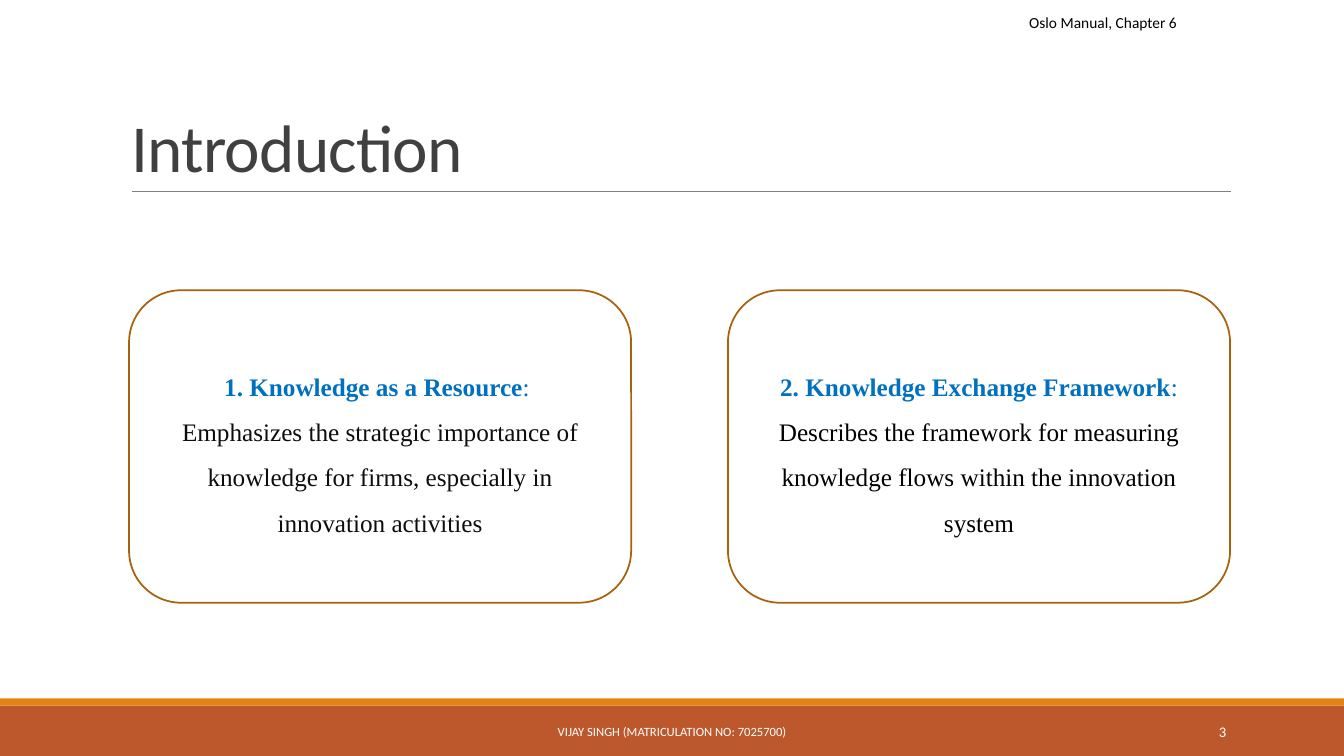
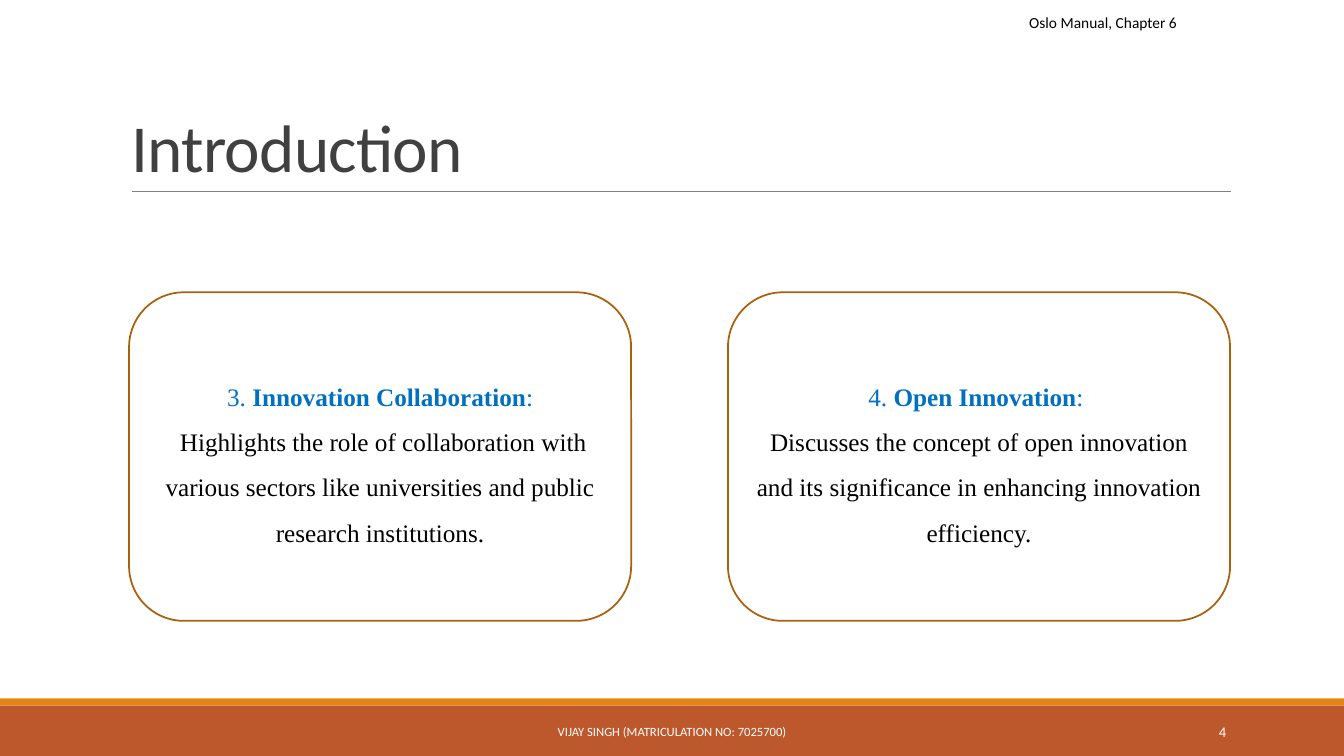
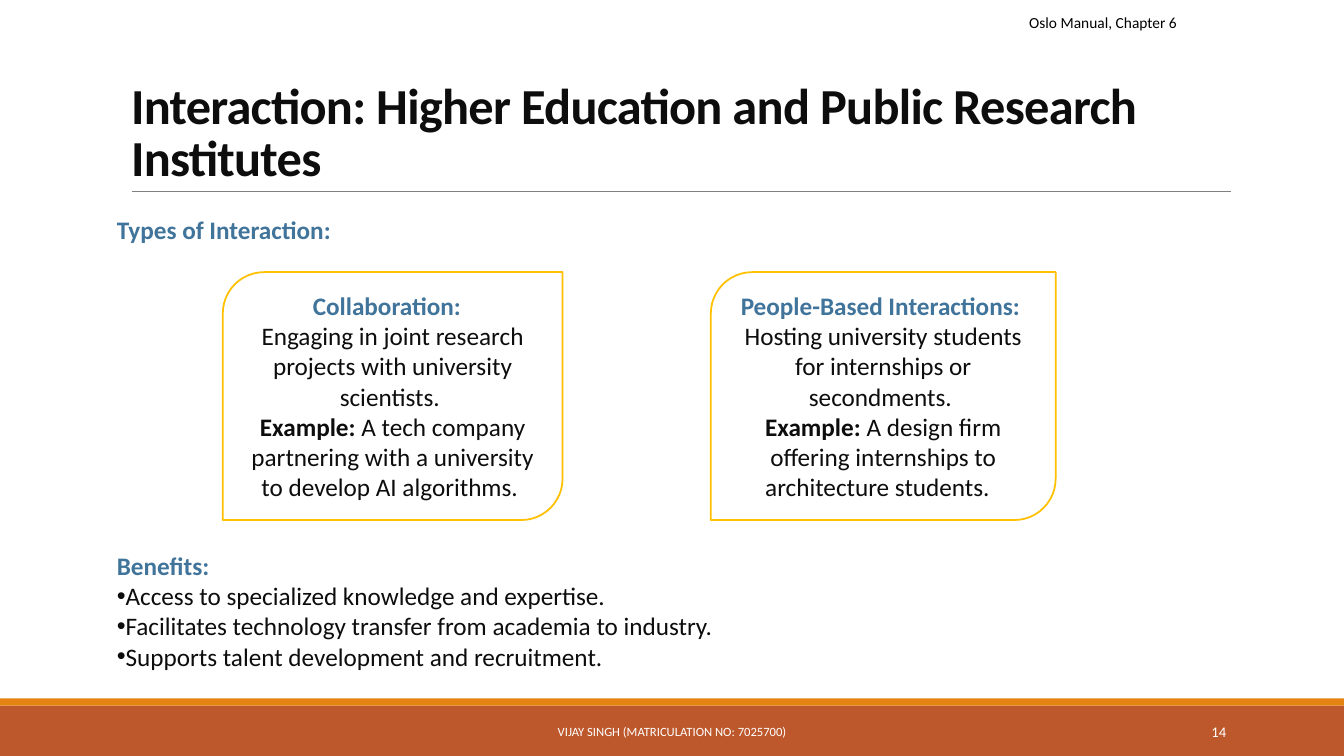
from lxml.etree import SubElement
from pptx import Presentation
from pptx.dml.color import RGBColor
from pptx.enum.shapes import MSO_CONNECTOR, MSO_SHAPE
from pptx.enum.text import MSO_ANCHOR, MSO_AUTO_SIZE, PP_ALIGN
from pptx.oxml.ns import qn
from pptx.util import Inches, Pt

COLORS = {
    "white": "FFFFFF", "black": "000000", "ink": "0D0D0D", "title": "404040",
    "rule": "808080", "rust": "BD582C", "orange": "E48312", "brown": "A9610D",
    "gold": "FFC000", "blue": "0070C0", "steel": "40749B",
}
SANS = "Calibri"
SERIF = "Times New Roman"
CARD_LEFTS = (1.28, 7.22)


def rgb(name):
    return RGBColor.from_string(COLORS[name])


def inches(*lengths):
    return [Inches(length) for length in lengths]


def add_run(paragraph, text, color, bold=False, size=18, font=SANS):
    run = paragraph.add_run()
    run.text = text
    run.font.name = font
    run.font.size = Pt(size)
    run.font.bold = bold
    run.font.color.rgb = rgb(color)
    return run


def add_bullet(paragraph):
    properties = paragraph._p.get_or_add_pPr()
    properties.set("marL", "0")
    properties.set("indent", "0")
    SubElement(properties, qn("a:buFont")).set("typeface", "Arial")
    SubElement(properties, qn("a:buChar")).set("char", "•")


def write_paragraphs(frame, paragraphs, align=PP_ALIGN.LEFT, spacing=1.0, size=18, font=SANS):
    frame.word_wrap = True
    for index, runs in enumerate(paragraphs):
        paragraph = frame.add_paragraph() if index else frame.paragraphs[0]
        paragraph.alignment = align
        paragraph.line_spacing = spacing
        for text, color, bold in runs:
            add_run(paragraph, text, color, bold, size, font)


def add_text(slide, box, paragraphs, anchor=MSO_ANCHOR.TOP, **style):
    frame = slide.shapes.add_textbox(*inches(*box)).text_frame
    frame.vertical_anchor = anchor
    write_paragraphs(frame, paragraphs, **style)
    return frame


def add_box(slide, kind, box, fill=None, line=None):
    shape = slide.shapes.add_shape(kind, *inches(*box))
    shape.shadow.inherit = False
    if fill:
        shape.fill.solid()
        shape.fill.fore_color.rgb = rgb(fill)
    else:
        shape.fill.background()
    if line:
        shape.line.color.rgb = rgb(line)
        shape.line.width = Pt(1.25)
    else:
        shape.line.fill.background()
    return shape


def add_card(slide, kind, box, line, paragraphs, fill=None, **style):
    frame = add_box(slide, kind, box, fill, line).text_frame
    frame.vertical_anchor = MSO_ANCHOR.MIDDLE
    write_paragraphs(frame, paragraphs, align=PP_ALIGN.CENTER, **style)


def add_rule(slide):
    rule = slide.shapes.add_connector(MSO_CONNECTOR.STRAIGHT, *inches(1.31, 1.9, 12.21, 1.9))
    rule.line.color.rgb = rgb("rule")
    rule.line.width = Pt(0.5)
    SubElement(rule._element.spPr, qn("a:effectLst"))


def set_title(slide, text, width, color, size, bold):
    title = slide.shapes.title
    title.left, title.top, title.width, title.height = inches(1.2, 0.31, width, 1.59)
    frame = title.text_frame
    frame.auto_size = MSO_AUTO_SIZE.NONE
    frame.vertical_anchor = MSO_ANCHOR.BOTTOM
    write_paragraphs(frame, [[(text, color, bold)]], spacing=0.85, size=size)
    frame.paragraphs[0].runs[0].font._element.set("spc", "-50")


def add_slide(presentation, number, title, width=11, color="title", size=48, bold=False):
    slide = presentation.slides.add_slide(presentation.slide_layouts[5])
    add_box(slide, MSO_SHAPE.RECTANGLE, (0, 7, 13.33, 0.5), "rust")
    add_box(slide, MSO_SHAPE.RECTANGLE, (0, 6.93, 13.33, 0.07), "orange")
    add_rule(slide)
    set_title(slide, title, width, color, size, bold)
    add_text(slide, (10.11, 0.08, 2.3, 0.29), [[("Oslo Manual, Chapter 6", "black", False)]], size=11)
    add_text(slide, (4.03, 7.06, 5.27, 0.4),
             [[("VIJAY SINGH (MATRICULATION NO: 7025700)", "white", False)]],
             MSO_ANCHOR.MIDDLE, align=PP_ALIGN.CENTER, size=9)
    add_text(slide, (10.83, 7.06, 1.43, 0.4), [[(str(number), "white", False)]],
             MSO_ANCHOR.MIDDLE, align=PP_ALIGN.RIGHT, size=10.5)
    return slide


def add_introduction(presentation, number, top, height, cards):
    slide = add_slide(presentation, number, "Introduction")
    for left, paragraphs in zip(CARD_LEFTS, cards):
        add_card(slide, MSO_SHAPE.ROUNDED_RECTANGLE, (left, top, 4.98, height), "brown",
                 paragraphs, spacing=1.5, font=SERIF)


def add_interaction(presentation):
    slide = add_slide(presentation, 14, "Interaction: Higher Education and Public Research Institutes",
                      width=11.39, color="ink", size=36, bold=True)
    add_text(slide, (1.06, 2.08, 7.18, 0.4), [[("Types of Interaction: ", "steel", True)]])
    cards = [
        (2.21, 3.37, "Collaboration:  ",
         "Engaging in joint research projects with university scientists. ",
         " A tech company partnering with a university to develop AI algorithms. "),
        (7.05, 3.42, "People-Based Interactions: ",
         "Hosting university students for internships or secondments. ",
         " A design firm offering internships to architecture students.  "),
    ]
    for left, width, heading, description, example in cards:
        paragraphs = [
            [(heading, "steel", True)],
            [(description, "ink", False)],
            [("Example:", "ink", True), (example, "ink", False)],
        ]
        add_card(slide, MSO_SHAPE.ROUND_2_DIAG_RECTANGLE, (left, 2.7, width, 2.46), "gold",
                 paragraphs, fill="white")
    benefits = [
        "Access to specialized knowledge and expertise. ",
        "Facilitates technology transfer from academia to industry. ",
        "Supports talent development and recruitment. ",
    ]
    frame = add_text(slide, (1.06, 5.41, 9.55, 1.31),
                     [[("Benefits:", "steel", True)]] + [[(text, "ink", False)] for text in benefits])
    for paragraph in frame.paragraphs[1:]:
        add_bullet(paragraph)


def main():
    presentation = Presentation()
    presentation.slide_width, presentation.slide_height = inches(13.33, 7.5)
    add_introduction(presentation, 3, 2.88, 3.1, [
        [
            [("1. Knowledge as a Resource", "blue", True), (": ", "blue", False)],
            [("Emphasizes the strategic importance of knowledge for firms, "
              "especially in innovation activities", "ink", False)],
        ],
        [
            [("2. Knowledge Exchange Framework", "blue", True), (": ", "blue", False),
             ("Describes the framework for measuring knowledge flows "
              "within the innovation system", "black", False)],
        ],
    ])
    add_introduction(presentation, 4, 2.9, 3.26, [
        [
            [("3. ", "blue", False), ("Innovation Collaboration", "blue", True), (":", "blue", False)],
            [(" Highlights the role of collaboration with various sectors "
              "like universities and public research institutions.", "black", False)],
        ],
        [
            [("4. ", "blue", False), ("Open Innovation", "blue", True), (": ", "blue", False)],
            [("Discusses the concept of open innovation and its significance "
              "in enhancing innovation efficiency.", "black", False)],
        ],
    ])
    add_interaction(presentation)
    presentation.save("out.pptx")


if __name__ == "__main__":
    main()
